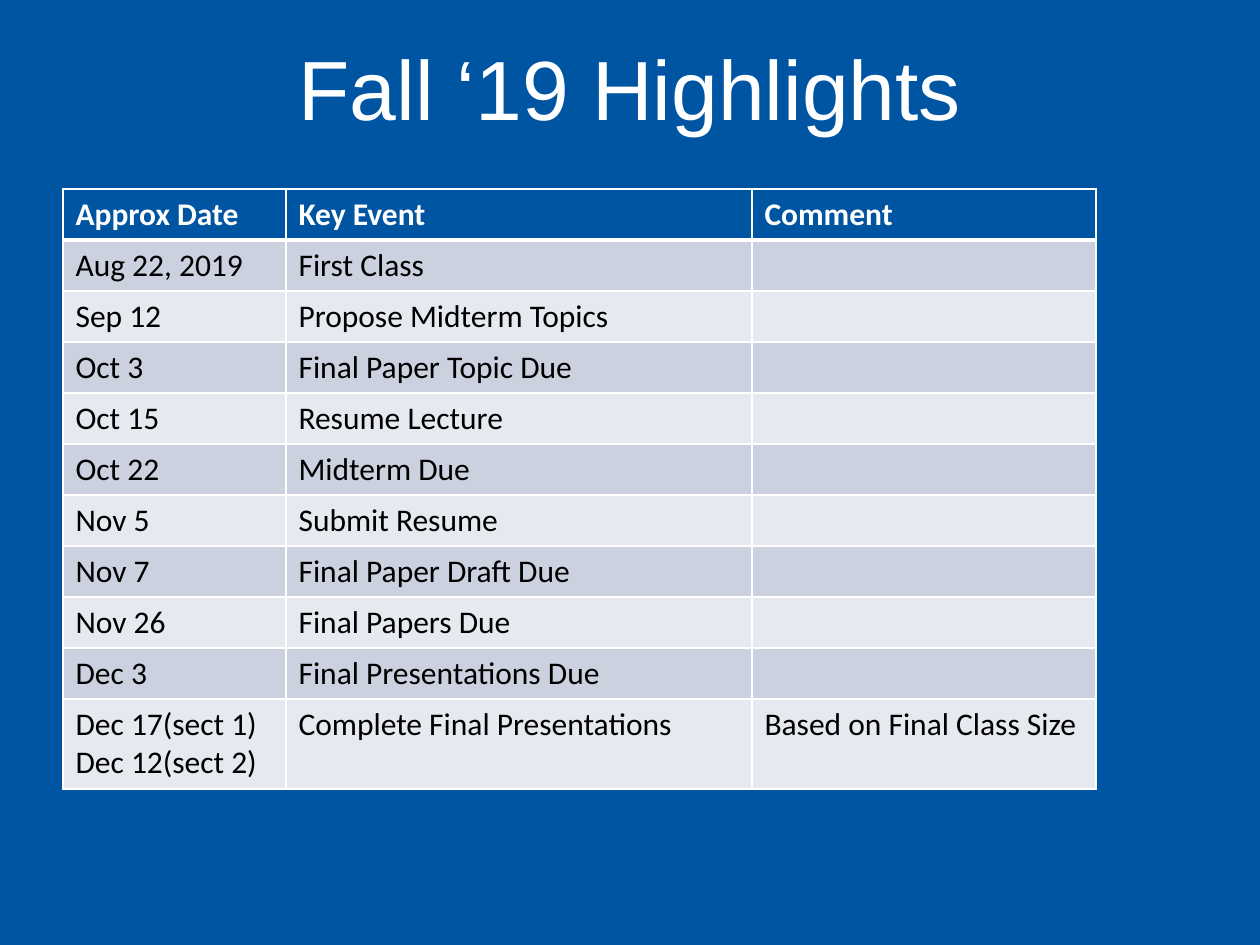
from dataclasses import dataclass
from typing import Any

from lxml import etree
from pptx import Presentation
from pptx import util as u
from pptx.dml.color import RGBColor
from pptx.enum import text
from pptx.oxml import ns

BLUE = RGBColor(0x00, 0x55, 0xA2)
WHITE = RGBColor(0xFF, 0xFF, 0xFF)
BLACK = RGBColor(0x00, 0x00, 0x00)
BANDS = (RGBColor(0xE7, 0xE9, 0xF0), RGBColor(0xCC, 0xD1, 0xE0))
EMU_PER_PX = 914400 / 126

SCHEDULE = [
    ("Approx Date", "Key Event", "Comment"),
    ("Aug 22, 2019", "First Class", ""),
    ("Sep 12", "Propose Midterm Topics", ""),
    ("Oct 3", "Final Paper Topic Due", ""),
    ("Oct 15", "Resume Lecture", ""),
    ("Oct 22", "Midterm Due", ""),
    ("Nov 5", "Submit Resume", ""),
    ("Nov 7", "Final Paper Draft Due", ""),
    ("Nov 26", "Final Papers Due", ""),
    ("Dec 3", "Final Presentations Due", ""),
    ("Dec 17(sect 1) Dec 12(sect 2)", "Complete Final Presentations",
     "Based on Final Class Size"),
]


def px(length):
    """Turn pixels into EMU."""
    return u.Emu(round(length * EMU_PER_PX))


@dataclass
class Painter:
    """Draws styled elements on the current slide."""

    page: Any
    title_font: str = "Arial"
    title_size: int = 48
    body_font: str = "Calibri"
    body_size: int = 18

    def background(self, color):
        """Fill the slide background."""
        fill = self.page.background.fill
        fill.solid()
        fill.fore_color.rgb = color

    def font(self, paragraph, name, size, color, bold=False):
        """Format every run of a paragraph."""
        for span in paragraph.runs:
            span.font.name = name
            span.font.size = u.Pt(size)
            span.font.bold = bold
            span.font.color.rgb = color

    def title(self, words, left, top, width, height):
        """Add the centred slide title."""
        box = self.page.shapes.add_textbox(px(left), px(top), px(width), px(height))
        frame = box.text_frame
        frame.word_wrap = True
        frame.vertical_anchor = text.MSO_ANCHOR.MIDDLE
        frame.text = words
        para = frame.paragraphs[0]
        para.alignment = text.PP_ALIGN.CENTER
        para.line_spacing = 0.9
        self.font(para, self.title_font, self.title_size, WHITE)

    def borders(self, cell, **widths):
        """Draw white cell borders with widths in points."""
        properties = cell._tc.get_or_add_tcPr()
        for side in "LRTB":
            line = etree.SubElement(properties, ns.qn(f"a:ln{side}"),
                                    w=str(u.Pt(widths.get(side, 1))))
            fill = etree.SubElement(line, ns.qn("a:solidFill"))
            etree.SubElement(fill, ns.qn("a:srgbClr"), val=str(WHITE))

    def table(self, rows, left, top, columns, heights):
        """Add a banded table with a header row."""
        table = self.page.shapes.add_table(
            len(rows), len(columns), px(left), px(top),
            px(sum(columns)), px(sum(heights))).table
        for column, width in zip(table.columns, columns):
            column.width = px(width)
        for index, (row, height) in enumerate(zip(rows, heights)):
            table.rows[index].height = px(height)
            header = index == 0
            rule = {0: {"B": 3}, 1: {"T": 3}}.get(index, {})
            for position, words in enumerate(row):
                cell = table.cell(index, position)
                self.borders(cell, **rule)
                cell.fill.solid()
                cell.fill.fore_color.rgb = BLUE if header else BANDS[index % 2]
                cell.text_frame.text = words
                self.font(cell.text_frame.paragraphs[0], self.body_font,
                          self.body_size, WHITE if header else BLACK, header)


def main():
    """Build the semester highlights slide."""
    deck = Presentation()
    deck.slide_width, deck.slide_height = px(1260), px(945)
    painter = Painter(deck.slides.add_slide(deck.slide_layouts[6]))
    painter.background(BLUE)
    painter.title("Fall ‘19 Highlights", 63, 40, 1134, 107)
    heights = [51] * (len(SCHEDULE) - 1) + [90]
    painter.table(SCHEDULE, 63, 189, (223, 466, 344), heights)
    deck.save("out.pptx")


if __name__ == "__main__":
    main()
